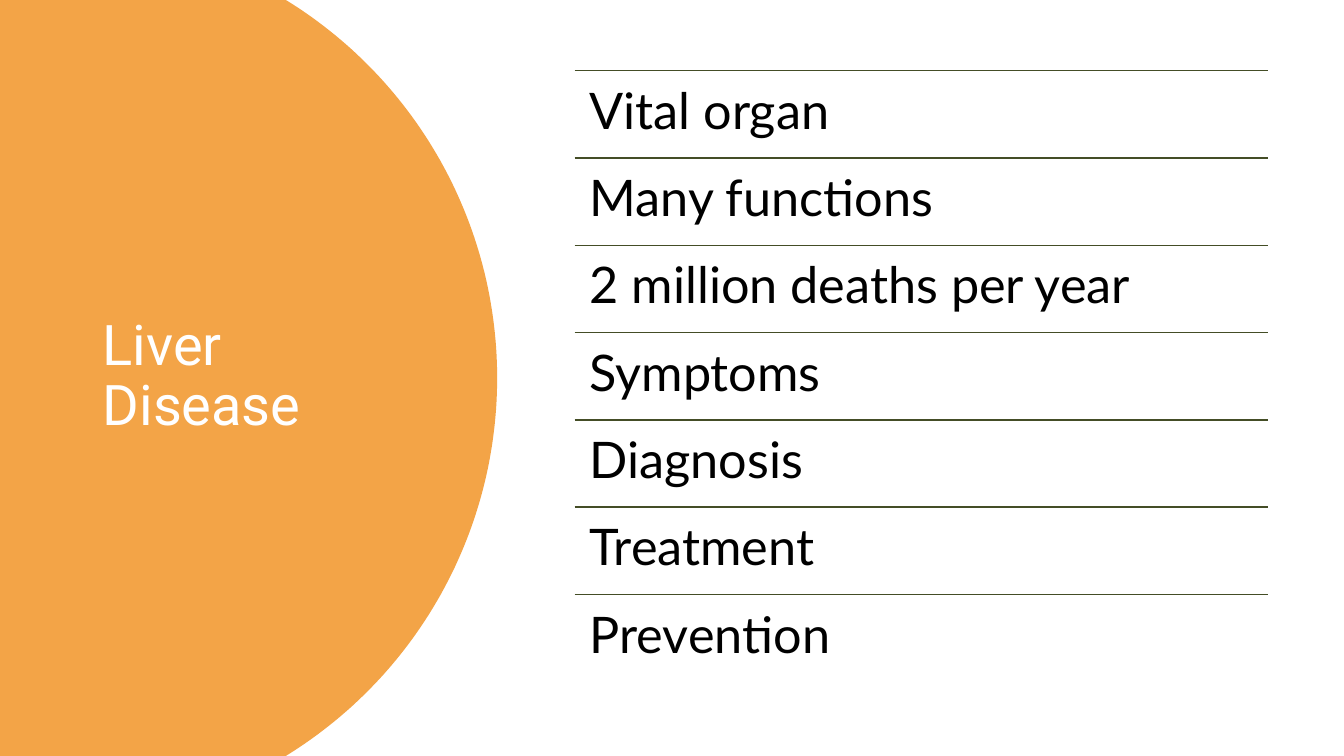
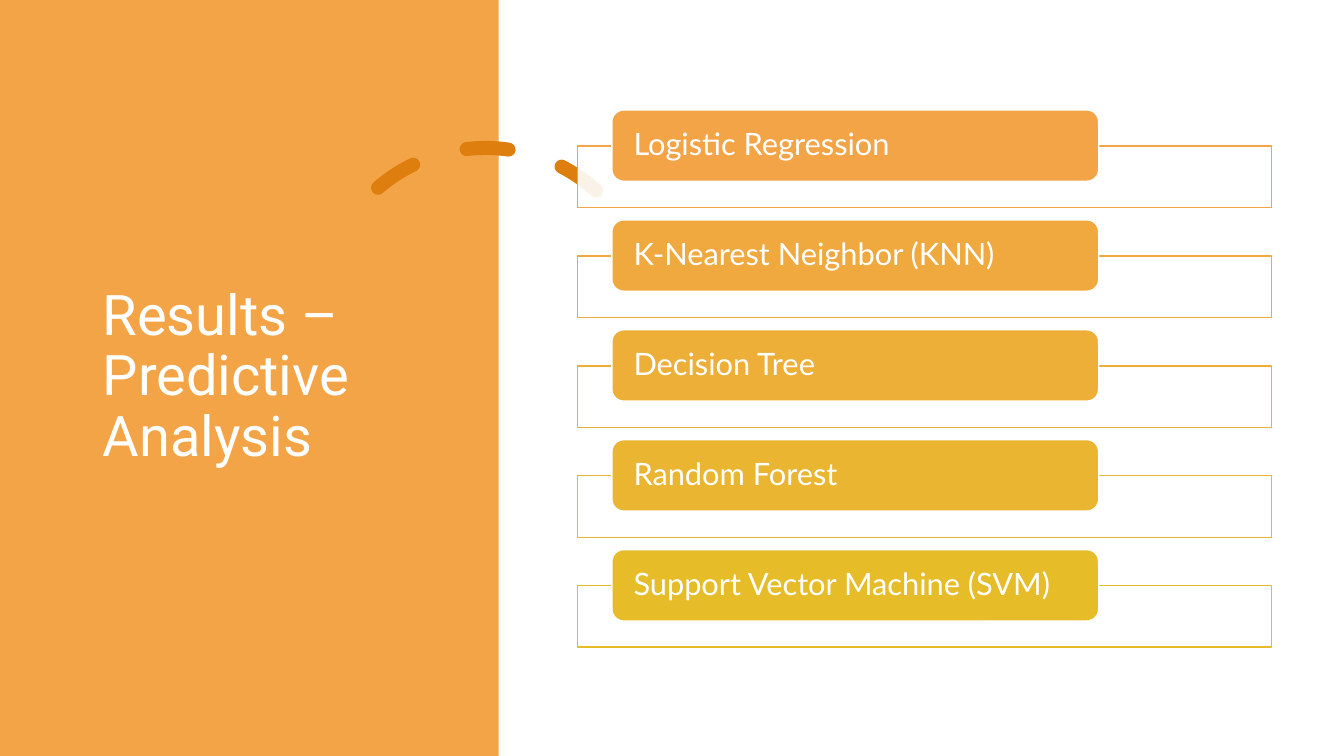
import math

import pptx
import pptx.dml.color
import pptx.enum.dml
import pptx.enum.shapes
import pptx.enum.text
import pptx.oxml
import pptx.oxml.ns
import pptx.util
from pptx.util import Cm

ORANGE = "F3A447"
DARK_ORANGE = "DD7E0E"
OLIVE = "444D26"
WHITE = "FFFFFF"
BLACK = "000000"
TITLE_FONT = "Roboto"
BODY_FONT = "Lato"
SHAPES = pptx.enum.shapes.MSO_SHAPE
ANCHOR = pptx.enum.text.MSO_ANCHOR


def paint(shape, fill=None, line=None, width=1):
    """Set fill and outline as hex colours, None for neither, and drop the shadow."""
    shape.shadow.inherit = False
    if fill:
        shape.fill.solid()
        shape.fill.fore_color.rgb = pptx.dml.color.RGBColor.from_string(fill)
    else:
        shape.fill.background()
    if line:
        shape.line.color.rgb = pptx.dml.color.RGBColor.from_string(line)
        shape.line.width = pptx.util.Pt(width)
    else:
        shape.line.fill.background()


def write(shape, text, font, size, colour, inset, anchor=ANCHOR.MIDDLE):
    frame = shape.text_frame
    frame.word_wrap = True
    frame.vertical_anchor = anchor
    frame.margin_left = frame.margin_right = Cm(inset)
    frame.margin_top = frame.margin_bottom = Cm(inset if anchor == ANCHOR.TOP else 0)
    para = frame.paragraphs[0]
    para.text = text
    para.alignment = pptx.enum.text.PP_ALIGN.LEFT
    para.line_spacing = 0.9
    para.font.name = font
    para.font.size = pptx.util.Pt(size)
    para.font.color.rgb = pptx.dml.color.RGBColor.from_string(colour)


deck = pptx.Presentation()
deck.slide_width = Cm(33.87)
deck.slide_height = Cm(19.05)
blank = deck.slide_layouts[6]
topics_page = deck.slides.add_slide(blank)
models_page = deck.slides.add_slide(blank)

# Left panel of the topics: a circle cut off by the slide edges
radius = 11.18
centre_x, centre_y = 1.35, 9.525
half_angle = math.asin(centre_y / radius)
steps = 120
curve = []
for step in range(steps + 1):
    angle = half_angle * (2 * step / steps - 1)
    curve.append((Cm(centre_x + radius * math.cos(angle)),
                  Cm(centre_y + radius * math.sin(angle))))
builder = topics_page.shapes.build_freeform(0, 0)
builder.add_line_segments(curve + [(0, deck.slide_height)], close=True)
paint(builder.convert_to_shape(), ORANGE)

# Left panel of the models: a plain band with a dashed arc
band = models_page.shapes.add_shape(SHAPES.RECTANGLE, 0, 0, Cm(12.57), deck.slide_height)
paint(band, ORANGE)
arc = models_page.shapes.add_shape(SHAPES.ARC, Cm(8.08), Cm(3.73), Cm(8.31), Cm(8.31))
arc.rotation = 345.8
arc.adjustments[0] = 146.13
arc.adjustments[1] = 0
paint(arc, line=DARK_ORANGE, width=10)
arc.line.dash_style = pptx.enum.dml.MSO_LINE.DASH
arc._element.spPr.find(pptx.oxml.ns.qn("a:ln")).set("cap", "rnd")

# Titles
for page, title in [(topics_page, "Liver Disease"),
                    (models_page, "Results – Predictive Analysis")]:
    box = page.shapes.add_textbox(Cm(2.34), Cm(1.78), Cm(8.2), Cm(15.47))
    write(box, title, TITLE_FONT, 40, WHITE, 0.25)

# Topics, each under a rule
topics = ["Vital organ", "Many functions", "2 million deaths per year", "Symptoms",
          "Diagnosis", "Treatment", "Prevention"]
topic_left, topic_width, topic_height = 14.48, 17.48, 2.2
for index, topic in enumerate(topics):
    top = 1.78 + index * topic_height
    rule = topics_page.shapes.add_connector(
        pptx.enum.shapes.MSO_CONNECTOR.STRAIGHT,
        Cm(topic_left), Cm(top), Cm(topic_left + topic_width), Cm(top))
    rule.line.color.rgb = pptx.dml.color.RGBColor.from_string(OLIVE)
    rule.line.width = pptx.util.Pt(1)
    pptx.oxml.ns.qn("a:effectLst")
    rule._element.spPr.append(pptx.oxml.parse_xml(
        f"<a:effectLst {pptx.oxml.ns.nsdecls('a')}/>"))
    box = topics_page.shapes.add_textbox(
        Cm(topic_left), Cm(top), Cm(topic_width), Cm(topic_height))
    write(box, topic, BODY_FONT, 36, BLACK, 0.38, ANCHOR.TOP)

# Models, each a label on an outlined frame
models = [("Logistic Regression", ORANGE), ("K-Nearest Neighbor (KNN)", "F0A93F"),
          ("Decision Tree", "EDAF38"), ("Random Forest", "EAB530"),
          ("Support Vector Machine (SVM)", "E7BC29")]
for index, (model, colour) in enumerate(models):
    top = 2.77 * (index + 1)
    frame = models_page.shapes.add_shape(
        SHAPES.RECTANGLE, Cm(14.55), Cm(top + 0.91), Cm(17.5), Cm(1.55))
    paint(frame, WHITE, colour)
    fill_colour = frame._element.spPr.find(pptx.oxml.ns.qn("a:solidFill"))[0]
    fill_colour.append(pptx.oxml.parse_xml(
        f"<a:alpha {pptx.oxml.ns.nsdecls('a')} val='90000'/>"))
    label = models_page.shapes.add_shape(
        SHAPES.ROUNDED_RECTANGLE, Cm(15.42), Cm(top), Cm(12.27), Cm(1.8))
    paint(label, colour, WHITE)
    write(label, model, BODY_FONT, 22, WHITE, 0.46)

deck.save("out.pptx")
